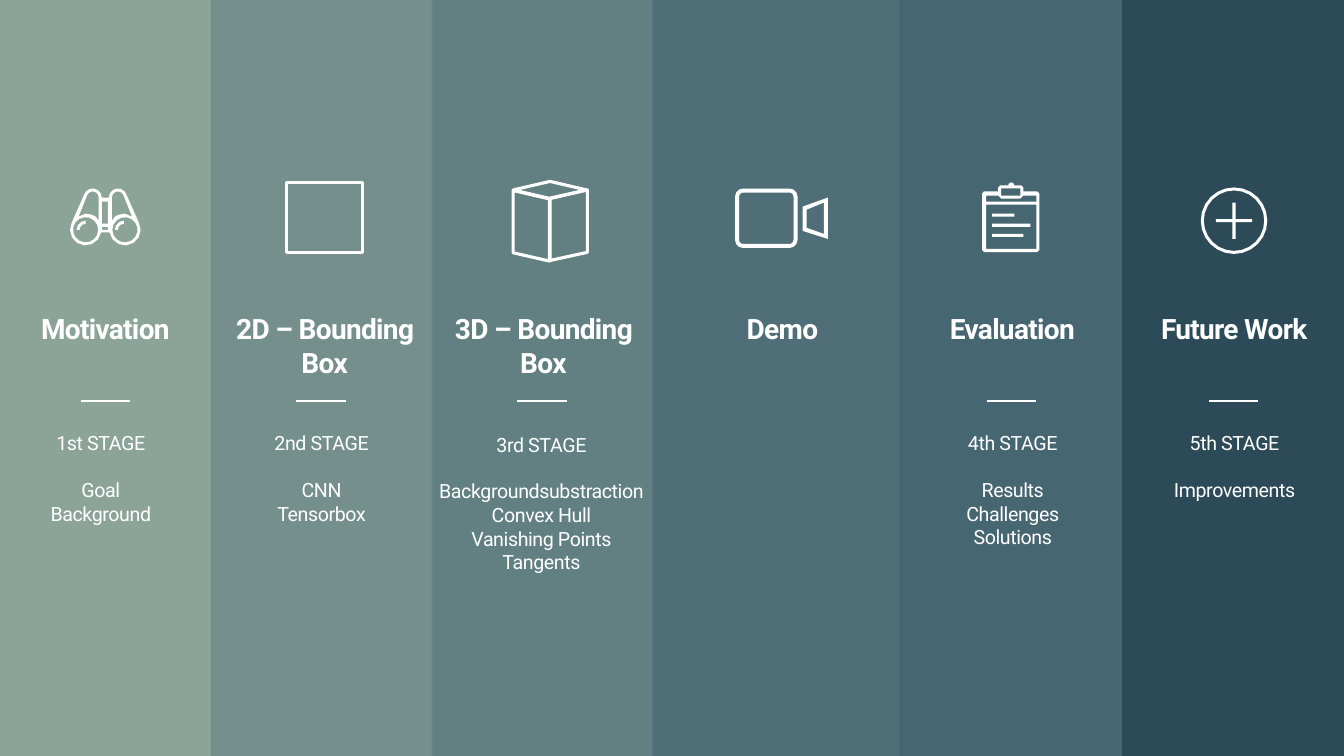
from dataclasses import dataclass
from math import ceil, cos, radians, sin

from lxml.etree import SubElement
from pptx import Presentation
from pptx.dml.color import RGBColor
from pptx.enum.shapes import MSO_CONNECTOR, MSO_SHAPE
from pptx.enum.text import MSO_ANCHOR, PP_ALIGN
from pptx.oxml.ns import qn
from pptx.util import Inches, Pt

WHITE = RGBColor(0xFF, 0xFF, 0xFF)
NAVY = RGBColor(0x2C, 0x4A, 0x58)
SAGE = RGBColor(0x97, 0xAE, 0xA0)
GREY_GREEN = RGBColor(0x7D, 0x98, 0x92)
TEAL_GREEN = RGBColor(0x68, 0x86, 0x87)
STEEL = RGBColor(0x53, 0x73, 0x7B)
SLATE = RGBColor(0x49, 0x6A, 0x75)
FONT = "Roboto"


# Outline geometry: every outline is a list of (x, y) points in inches
def arc(cx, cy, r, start, end, step=30):
    count = ceil(abs(end - start) / step)
    angles = [radians(start + (end - start) * i / count) for i in range(count + 1)]
    return [(cx + r * cos(a), cy + r * sin(a)) for a in angles]


def circle(cx, cy, r, step=24):
    return arc(cx, cy, r, 0, 360, step)[:-1]


def round_rect(x, y, w, h, r):
    return (arc(x + r, y + r, r, 180, 270) + arc(x + w - r, y + r, r, 270, 360)
            + arc(x + w - r, y + h - r, r, 0, 90) + arc(x + r, y + h - r, r, 90, 180))


def rect(x, y, w, h):
    return [(x, y), (x + w, y), (x + w, y + h), (x, y + h)]


def mirror(outline, width):
    return [(width - x, y) for x, y in reversed(outline)]


def draw_outlines(slide, left, top, outlines):
    """One white freeform; nested outlines cut holes."""
    placed = [[(Inches(left + x), Inches(top + y)) for x, y in o] for o in outlines]
    builder = slide.shapes.build_freeform(*placed[0][0], scale=1.0)
    builder.add_line_segments(placed[0][1:], close=True)
    for outline in placed[1:]:
        builder.move_to(*outline[0])
        builder.add_line_segments(outline[1:], close=True)
    icon = builder.convert_to_shape()
    icon.shadow.inherit = False
    icon.fill.solid()
    icon.fill.fore_color.rgb = WHITE
    icon.line.fill.background()


def draw_stroked(shapes, preset, left, top, width, height):
    face = shapes.add_shape(preset, Inches(left), Inches(top), Inches(width), Inches(height))
    face.shadow.inherit = False
    face.fill.background()
    face.line.color.rgb = WHITE
    face.line.width = Pt(2.25)
    return face


# Icons, each placed from its top left corner
def draw_binoculars(slide, left, top):
    width = 0.69
    half = arc(0.22, 0.09, 0.09, 360, 195) + arc(0.15, 0.41, 0.155, 207, 10)
    lens = circle(0.15, 0.41, 0.125)
    tube = arc(0.22, 0.09, 0.06, 200, 360) + [
        (0.28, 0.32), (0.25, 0.28), (0.21, 0.26), (0.15, 0.25), (0.08, 0.28)]
    glints = [arc(x, 0.41, 0.09, 180, 270) + arc(x, 0.41, 0.06, 270, 180)
              for x in (0.15, 0.53)]
    bridge = [rect(0.31, 0.13, 0.06, 0.22), rect(0.31, 0.38, 0.06, 0.03)]
    draw_outlines(slide, left, top, [
        half + mirror(half, width), lens, mirror(lens, width),
        tube, mirror(tube, width), *bridge, *glints])


def draw_square(slide, left, top):
    draw_stroked(slide.shapes, MSO_SHAPE.RECTANGLE, left, top, 0.76, 0.7)


def draw_cuboid(slide, left, top):
    cuboid = slide.shapes.add_group_shape().shapes
    left_face = draw_stroked(cuboid, MSO_SHAPE.PARALLELOGRAM, left - 0.17, top + 0.26, 0.7, 0.36)
    right_face = draw_stroked(cuboid, MSO_SHAPE.PARALLELOGRAM, left + 0.2, top + 0.25, 0.7, 0.37)
    for face, slant in ((left_face, 0.23), (right_face, 0.22)):
        face.rotation = 270
        face.adjustments[0] = slant
    right_face._element.spPr.find(qn("a:xfrm")).set("flipV", "1")
    draw_stroked(cuboid, MSO_SHAPE.FLOWCHART_DECISION, left, top, 0.73, 0.17)


def draw_camera(slide, left, top):
    draw_outlines(slide, left, top, [
        round_rect(0, 0, 0.62, 0.59, 0.08), round_rect(0.04, 0.04, 0.54, 0.51, 0.04),
        [(0.67, 0.18), (0.92, 0.09), (0.92, 0.5), (0.67, 0.42)],
        [(0.71, 0.21), (0.88, 0.14), (0.88, 0.45), (0.71, 0.39)]])


def draw_clipboard(slide, left, top):
    board = [(0, 0.11), (0.02, 0.09), (0.16, 0.09), (0.16, 0.05), (0.18, 0.03),
             *arc(0.29, 0.03, 0.03, 180, 360), (0.39, 0.03), (0.41, 0.05), (0.41, 0.09),
             (0.55, 0.09), (0.57, 0.11), (0.57, 0.67), (0.55, 0.69), (0.02, 0.69), (0, 0.67)]
    header = [(0.04, 0.13), (0.16, 0.13), (0.19, 0.16), (0.38, 0.16),
              (0.41, 0.13), (0.54, 0.13), (0.54, 0.19), (0.04, 0.19)]
    notes = [rect(0.1, 0.31 + 0.1 * row, length, 0.03)
             for row, length in enumerate((0.22, 0.38, 0.31))]
    draw_outlines(slide, left, top, [
        board, header, rect(0.19, 0.06, 0.19, 0.07), rect(0.04, 0.22, 0.5, 0.44), *notes])


def draw_plus(slide, left, top):
    centre, arm, half = 0.33, 0.18, 0.015
    corner = [(half, -arm), (half, -half), (arm, -half)]
    plus = []
    for _ in range(4):
        plus += [(centre + x, centre + y) for x, y in corner]
        corner = [(-y, x) for x, y in corner]
    draw_outlines(slide, left, top, [
        circle(centre, centre, 0.33, 15), circle(centre, centre, 0.3, 15), plus])


# Stage columns
@dataclass
class Stage:
    title: str
    colour: RGBColor
    band: tuple
    title_box: tuple
    draw_icon: object
    icon_at: tuple
    label: str = ""
    topics: tuple = ()
    topics_box: tuple = ()
    rule_left: float = 0
    anchor: MSO_ANCHOR = MSO_ANCHOR.TOP


STAGES = [
    Stage("Motivation", SAGE, (-0.02, 2.12), (0.01, 2.07), draw_binoculars, (0.7, 1.87),
          "1st STAGE", ("Goal", "Background"), (-0.09, 4.22, 2.18, 1.06), 0.8),
    Stage("2D – Bounding Box", GREY_GREEN, (2.1, 2.2), (2.13, 2.18), draw_square, (2.84, 1.81),
          "2nd STAGE", ("CNN", "Tensorbox"), (2.09, 4.22, 2.2, 1.54), 2.94),
    Stage("3D – Bounding Box", TEAL_GREEN, (4.28, 2.2), (4.32, 2.14), draw_cuboid, (5.09, 1.8),
          "3rd STAGE", ("Backgroundsubstraction", "Convex Hull", "Vanishing Points", "Tangents"),
          (4.28, 3.98, 2.18, 1.77), 5.13, MSO_ANCHOR.BOTTOM),
    Stage("Demo", STEEL, (6.47, 2.46), (6.67, 2.18), draw_camera, (7.29, 1.87)),
    Stage("Evaluation", SLATE, (8.93, 2.2), (8.95, 2.18), draw_clipboard, (9.74, 1.81),
          "4th STAGE", ("Results", "Challenges", "Solutions"), (8.93, 4.22, 2.23, 1.3), 9.79),
    Stage("Future Work", NAVY, (11.13, 2.2), (11.15, 2.18), draw_plus, (11.91, 1.86),
          "5th STAGE", ("Improvements",), (11.13, 4.22, 2.23, 1.3), 11.99),
]


def add_band(slide, left, width, colour):
    band = slide.shapes.add_shape(MSO_SHAPE.RECTANGLE, Inches(left), 0, Inches(width), Inches(7.5))
    band.shadow.inherit = False
    band.line.fill.background()
    band.fill.solid()
    band.fill.fore_color.rgb = colour
    rgb = band._element.spPr.find(qn("a:solidFill"))[0]
    SubElement(rgb, qn("a:alpha")).set("val", "90000")


def add_lines(slide, box, lines, size, spacing, inset=0.0, bold=False, anchor=MSO_ANCHOR.TOP):
    frame = slide.shapes.add_textbox(*(Inches(v) for v in box)).text_frame
    frame.word_wrap = True
    frame.vertical_anchor = anchor
    frame.margin_left = frame.margin_right = Inches(inset)
    frame.margin_top = frame.margin_bottom = Inches(inset)
    for i, line in enumerate(lines):
        paragraph = frame.paragraphs[0] if i == 0 else frame.add_paragraph()
        paragraph.alignment = PP_ALIGN.CENTER
        if i == 1:
            paragraph.space_before = Pt(16.5)
        run = paragraph.add_run()
        run.text = line
        run.font.name, run.font.size, run.font.bold = FONT, Pt(size), bold
        run.font.color.rgb = WHITE
        run._r.get_or_add_rPr().set("spc", str(spacing))


def add_rule(slide, left, top):
    rule = slide.shapes.add_connector(MSO_CONNECTOR.STRAIGHT, Inches(left), Inches(top),
                                      Inches(left + 0.49), Inches(top))
    rule.line.color.rgb = WHITE
    rule.line.width = Pt(1.5)
    SubElement(rule._element.spPr, qn("a:effectLst"))


def add_stage(slide, stage):
    add_band(slide, *stage.band, stage.colour)
    stage.draw_icon(slide, *stage.icon_at)
    left, width = stage.title_box
    title_height = 0.67 if "Box" in stage.title else 0.34
    add_lines(slide, (left, 3.09, width, title_height), [stage.title], 20, -50, bold=True)
    if stage.label:
        add_rule(slide, stage.rule_left, 3.98)
        add_lines(slide, stage.topics_box, [stage.label, *stage.topics], 14, -30, 0.06,
                  anchor=stage.anchor)


def main():
    deck = Presentation()
    deck.slide_width, deck.slide_height = Inches(13.33), Inches(7.5)
    slide = deck.slides.add_slide(deck.slide_layouts[6])
    slide.background.fill.solid()
    slide.background.fill.fore_color.rgb = NAVY
    for stage in STAGES:
        add_stage(slide, stage)
    deck.save("out.pptx")


if __name__ == "__main__":
    main()
